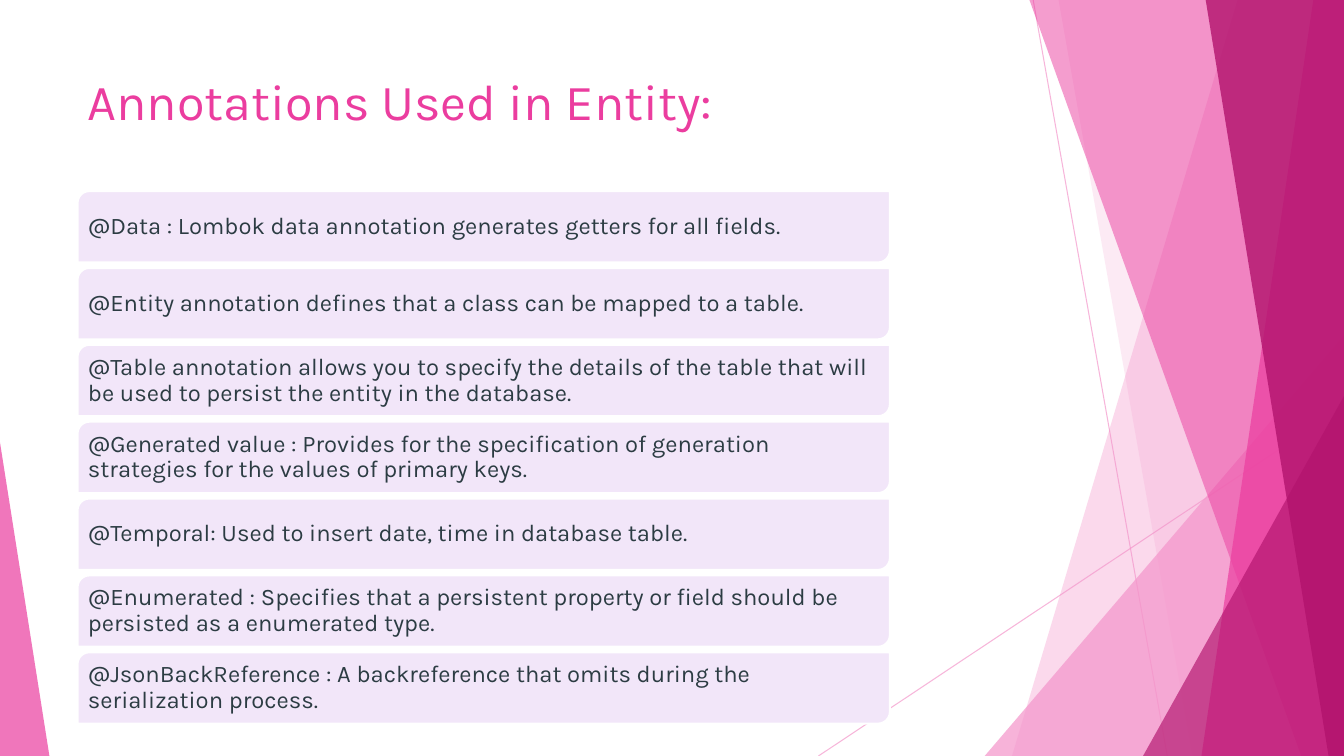
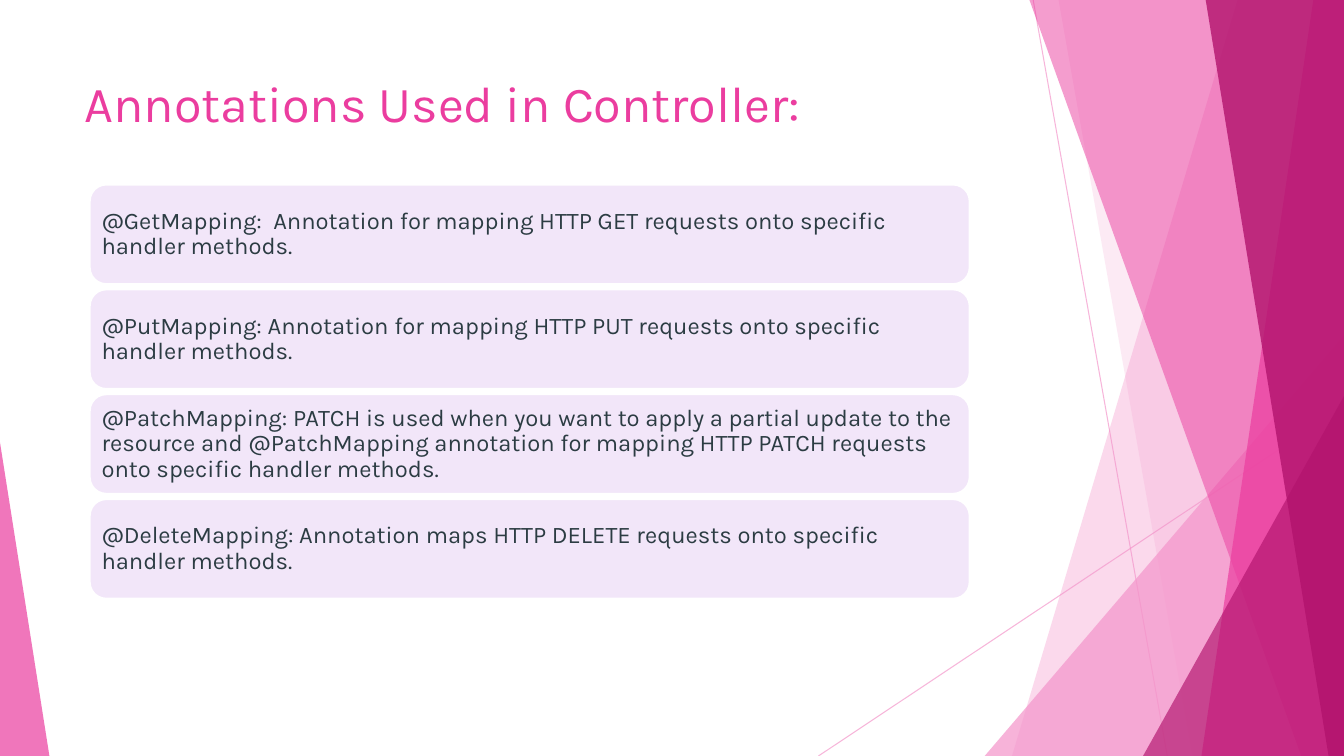
from lxml.etree import SubElement
from pptx import Presentation
from pptx.dml.color import RGBColor
from pptx.enum.shapes import MSO_CONNECTOR, MSO_SHAPE as Shape
from pptx.enum.text import MSO_ANCHOR as Anchor, PP_ALIGN as Align
from pptx.oxml.ns import qn
from pptx.util import Pt

WIDTH, HEIGHT = 960, 540
FONT = "Karla"
COLORS = {
    "light": "F496CB",
    "pink": "EB3D9F",
    "deep": "B2136D",
    "card": "F2E6F9",
    "edge": "FFFFFF",
    "ink": "2C3C43",
}

# Backdrop: thin rays (x1, y1, x2, y2)
RAYS = [(738, 0, 833.8, HEIGHT), (WIDTH, 290.2, 584.6, HEIGHT)]
# Bands run from the right edge to a slanted side (top x, bottom x, colour, opacity)
BACK_BANDS = [(884.2, 722.9, "light", 36), (756, 851.8, "light", 20)]
FRONT_BANDS = [
    (735.1, 929.5, "pink", 50),
    (938.2, 858.2, "pink", 70),
    (861.1, 949, "deep", 80),
]
BAND_TOP = -0.7

ENTITY_NOTES = [
    "@Data : Lombok data annotation generates getters for all fields.",
    "@Entity annotation defines that a class can be mapped to a table.",
    "@Table annotation allows you to specify the details of the table that will "
    "be used to persist the entity in the database.",
    "@Generated value : Provides for the specification of generation strategies "
    "for the values of primary keys.",
    "@Temporal: Used to insert date, time in database table.",
    "@Enumerated : Specifies that a persistent property or field should be "
    "persisted as a enumerated type.",
    "@JsonBackReference : A backreference that omits during the serialization process.",
]
CONTROLLER_NOTES = [
    "@GetMapping:  Annotation for mapping HTTP GET requests onto specific handler methods.",
    "@PutMapping: Annotation for mapping HTTP PUT requests onto specific handler methods.",
    "@PatchMapping: PATCH is used when you want to apply a partial update to the "
    "resource and @PatchMapping annotation for mapping HTTP PATCH requests onto "
    "specific handler methods.",
    "@DeleteMapping: Annotation maps HTTP DELETE requests onto specific handler methods.",
]


def rgb(name):
    return RGBColor.from_string(COLORS[name])


def set_opacity(shape, percent):
    for color in shape.element.spPr.iter(qn("a:srgbClr")):
        SubElement(color, qn("a:alpha"), val=str(percent * 1000))


def write(shape, text, size, color, anchor=Anchor.TOP, spacing=1.0, inset=None):
    frame = shape.text_frame
    frame.word_wrap = True
    frame.vertical_anchor = anchor
    if inset is not None:
        frame.margin_left = frame.margin_right = Pt(inset)
        frame.margin_top = frame.margin_bottom = Pt(inset)
    paragraph = frame.paragraphs[0]
    paragraph.alignment = Align.LEFT
    paragraph.line_spacing = spacing
    run = paragraph.add_run()
    run.text = text
    run.font.name = FONT
    run.font.size = Pt(size)
    run.font.color.rgb = rgb(color)


class Deck:
    """Holds the shared style and the slide being built."""

    def __init__(self):
        self.show = Presentation()
        self.show.slide_width, self.show.slide_height = Pt(WIDTH), Pt(HEIGHT)
        self.shapes = None

    def new_slide(self, title, left, top):
        self.shapes = self.show.slides.add_slide(self.show.slide_layouts[6]).shapes
        self.backdrop()
        heading = self.shapes.add_textbox(Pt(left), Pt(top), Pt(676.8), Pt(103.7))
        write(heading, title, size=36, color="pink")

    def paint(self, shape, color, opacity):
        shape.shadow.inherit = False
        shape.fill.solid()
        shape.fill.fore_color.rgb = rgb(color)
        shape.line.fill.background()
        set_opacity(shape, opacity)

    def ray(self, *ends):
        ray = self.shapes.add_connector(MSO_CONNECTOR.STRAIGHT, *map(Pt, ends))
        ray.line.color.rgb = rgb("light")
        ray.line.width = Pt(0.75)
        set_opacity(ray, 70)
        SubElement(ray.element.spPr, qn("a:effectLst"))

    def band(self, top_x, bottom_x, color, opacity):
        outline = self.shapes.build_freeform(Pt(top_x), Pt(BAND_TOP))
        corners = [(WIDTH, BAND_TOP), (WIDTH, HEIGHT), (bottom_x, HEIGHT)]
        outline.add_line_segments([(Pt(x), Pt(y)) for x, y in corners], close=True)
        self.paint(outline.convert_to_shape(), color, opacity)

    def wedge(self, left, right, top, apex, color, opacity):
        """Triangle standing on the slide's bottom edge."""
        wedge = self.shapes.add_shape(
            Shape.ISOSCELES_TRIANGLE, Pt(left), Pt(top), Pt(right - left), Pt(HEIGHT - top)
        )
        wedge.adjustments[0] = apex
        self.paint(wedge, color, opacity)

    def backdrop(self):
        for ray in RAYS:
            self.ray(*ray)
        for band in BACK_BANDS:
            self.band(*band)
        self.wedge(703.4, WIDTH, 239.8, 1, "light", 72)
        for band in FRONT_BANDS:
            self.band(*band)
        self.wedge(816.5, WIDTH, 283, 1, "deep", 66)
        self.wedge(0, 35.3, 316.1, 0, "pink", 70)

    def cards(self, notes, outline, left, top, width, height, pitch):
        for row, note in enumerate(notes):
            card = self.shapes.add_shape(
                outline, Pt(left), Pt(top + row * pitch), Pt(width), Pt(height)
            )
            card.shadow.inherit = False
            card.fill.solid()
            card.fill.fore_color.rgb = rgb("card")
            card.line.color.rgb = rgb("edge")
            card.line.width = Pt(1.5)
            write(card, note, size=17, color="ink", anchor=Anchor.MIDDLE,
                  spacing=0.9, inset=5)


def main():
    deck = Deck()

    # Entity annotations
    deck.new_slide("Annotations Used in Entity:", left=55.4, top=46.8)
    deck.cards(ENTITY_NOTES, Shape.ROUND_2_DIAG_RECTANGLE,
               left=55.4, top=136.5, width=580.3, height=51, pitch=54.9)

    # Controller annotations
    deck.new_slide("Annotations Used in Controller:", left=53.3, top=48.2)
    deck.cards(CONTROLLER_NOTES, Shape.ROUNDED_RECTANGLE,
               left=64.1, top=131.8, width=628.6, height=71.2, pitch=74.9)

    deck.show.save("out.pptx")


if __name__ == "__main__":
    main()
